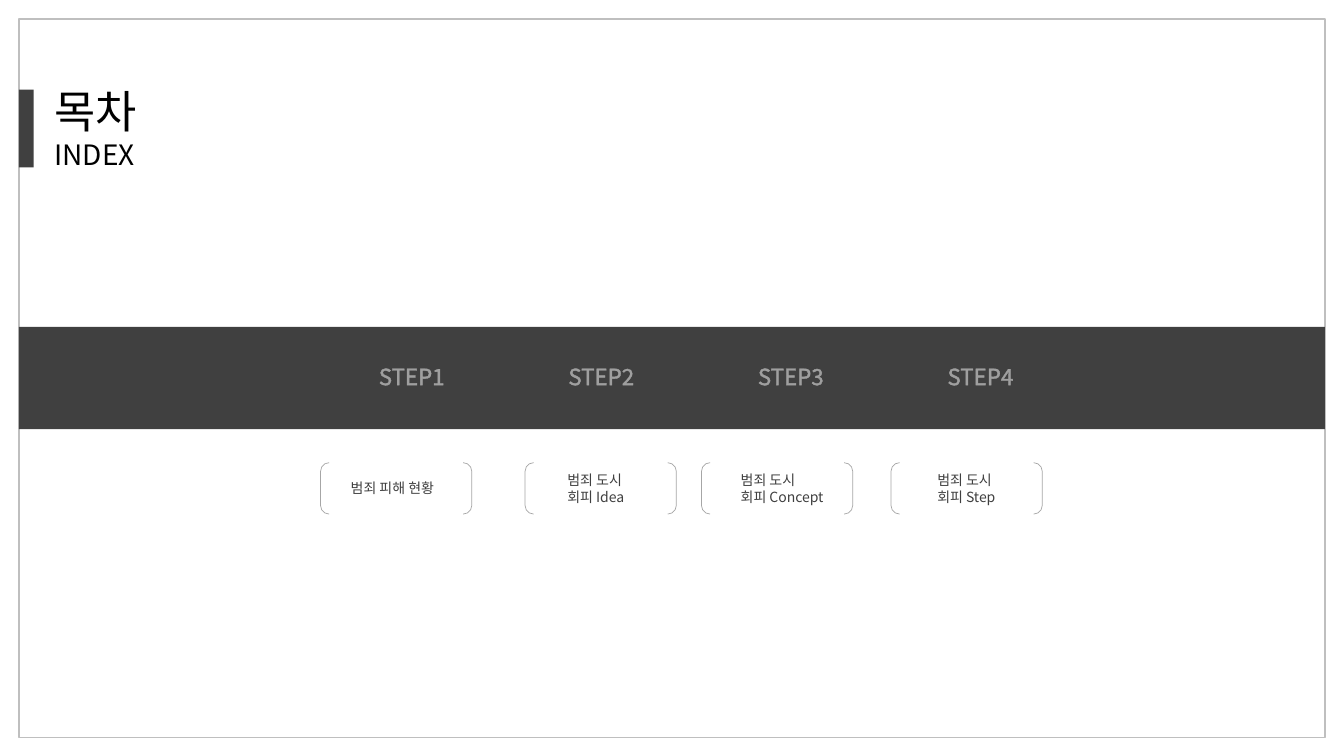
import dataclasses

import lxml.etree
import pptx
import pptx.dml.color
import pptx.enum.shapes
import pptx.enum.text
import pptx.oxml.ns
import pptx.util

Pt = pptx.util.Pt
RGBColor = pptx.dml.color.RGBColor
ShapeType = pptx.enum.shapes.MSO_SHAPE
Align = pptx.enum.text.PP_ALIGN
qn = pptx.oxml.ns.qn

FONT = "Noto Sans CJK KR"
BLACK = RGBColor(0x00, 0x00, 0x00)
WHITE = RGBColor(0xFF, 0xFF, 0xFF)
CHARCOAL = RGBColor(0x40, 0x40, 0x40)
BRACKET_GRAY = RGBColor(0xA6, 0xA6, 0xA6)
FRAME_GRAY = RGBColor(0xBF, 0xBF, 0xBF)

FRAME_LEFT, FRAME_WIDTH = 13.5, 933
STEP_LEFT, STEP_PITCH = 244.8, 135.4
BRACKET_TOP, BRACKET_WIDTH, BRACKET_HEIGHT = 330.5, 108, 36.7


@dataclasses.dataclass(frozen=True)
class Box:
    left: float
    top: float
    width: float
    height: float


@dataclasses.dataclass(frozen=True)
class TextStyle:
    sizes: tuple[float, ...]
    color: RGBColor
    outline_alpha: int
    align: Align = Align.LEFT


@dataclasses.dataclass(frozen=True)
class Step:
    bracket_left: float
    text_left: float
    text_width: float
    text: str


TITLE_STYLE = TextStyle((32, 20), BLACK, 50)
STEP_STYLE = TextStyle((16,), WHITE, 50, Align.CENTER)
TOPIC_STYLE = TextStyle((10, 10), CHARCOAL, 30)

STEPS = (
    Step(229, 243.4, 82, "범죄 피해 현황"),
    Step(375.1, 398.2, 58.3, "범죄 도시\n회피 Idea"),
    Step(501.1, 522, 76.3, "범죄 도시\n회피 Concept"),
    Step(636.5, 662.4, 59, "범죄 도시\n회피 Step"),
)


def place(shape, box: Box) -> None:
    shape.left, shape.top = Pt(box.left), Pt(box.top)
    shape.width, shape.height = Pt(box.width), Pt(box.height)


def add_shape(slide, kind: ShapeType, box: Box, fill: RGBColor | None = None,
              line: RGBColor | None = None, line_width: float = 1) -> None:
    shape = slide.shapes.add_shape(kind, 0, 0, 0, 0)
    place(shape, box)
    shape.shadow.inherit = False
    if fill is None:
        shape.fill.background()
    else:
        shape.fill.solid()
        shape.fill.fore_color.rgb = fill
    if line is None:
        shape.line.fill.background()
    else:
        shape.line.color.rgb = line
        shape.line.width = Pt(line_width)


def style_run(run, size: float, style: TextStyle) -> None:
    run.font.size = Pt(size)
    run.font.name = FONT
    run.font.color.rgb = style.color
    properties = run.font._element
    outline = lxml.etree.Element(qn("a:ln"), w=str(Pt(0.75)))
    fill = lxml.etree.SubElement(outline, qn("a:solidFill"))
    color = lxml.etree.SubElement(fill, qn("a:srgbClr"), val=str(style.color))
    lxml.etree.SubElement(color, qn("a:alpha"), val=str(style.outline_alpha * 1000))
    properties.insert(0, outline)
    latin = properties.find(qn("a:latin"))
    latin.addnext(lxml.etree.Element(qn("a:ea"), typeface=FONT))


def write_text(shape, text: str, style: TextStyle, wrap: bool = True) -> None:
    frame = shape.text_frame
    frame.text = text
    frame.word_wrap = wrap
    frame.auto_size = pptx.enum.text.MSO_AUTO_SIZE.SHAPE_TO_FIT_TEXT
    frame.vertical_anchor = pptx.enum.text.MSO_ANCHOR.TOP
    for paragraph, size in zip(frame.paragraphs, style.sizes):
        paragraph.alignment = style.align
        paragraph.line_spacing = 1.0
        paragraph.space_before = Pt(0)
        for run in paragraph.runs:
            style_run(run, size, style)


def add_text(slide, box: Box, text: str, style: TextStyle, wrap: bool = True) -> None:
    shape = slide.shapes.add_textbox(0, 0, 0, 0)
    write_text(shape, text, style, wrap)
    place(shape, box)


def add_step(slide, index: int, step: Step) -> None:
    label_box = Box(STEP_LEFT + index * STEP_PITCH, 255.6, 98.6, 26.6)
    add_text(slide, label_box, f"STEP{index + 1}", STEP_STYLE)
    bracket_box = Box(step.bracket_left, BRACKET_TOP, BRACKET_WIDTH, BRACKET_HEIGHT)
    add_shape(slide, ShapeType.DOUBLE_BRACKET, bracket_box,
              line=BRACKET_GRAY, line_width=0.5)
    text_height = 19.4 + 12.1 * step.text.count("\n")
    text_top = BRACKET_TOP + (BRACKET_HEIGHT - text_height) / 2
    text_box = Box(step.text_left, text_top, step.text_width, text_height)
    add_text(slide, text_box, step.text, TOPIC_STYLE, wrap=False)


presentation = pptx.Presentation()
presentation.slide_width, presentation.slide_height = Pt(960), Pt(540)
slide = presentation.slides.add_slide(presentation.slide_layouts[5])

title = slide.shapes.title
write_text(title, "목차\nINDEX", TITLE_STYLE)
place(title, Box(31.7, 56.2, 98.6, 70.6))

add_shape(slide, ShapeType.RECTANGLE, Box(FRAME_LEFT, 13.5, FRAME_WIDTH, 513.4),
          line=FRAME_GRAY)
add_shape(slide, ShapeType.RECTANGLE, Box(FRAME_LEFT, 64, 10.6, 55.6), fill=CHARCOAL)
add_shape(slide, ShapeType.RECTANGLE, Box(FRAME_LEFT, 233.5, FRAME_WIDTH, 73),
          fill=CHARCOAL)

for index, step in enumerate(STEPS):
    add_step(slide, index, step)

presentation.save("out.pptx")
